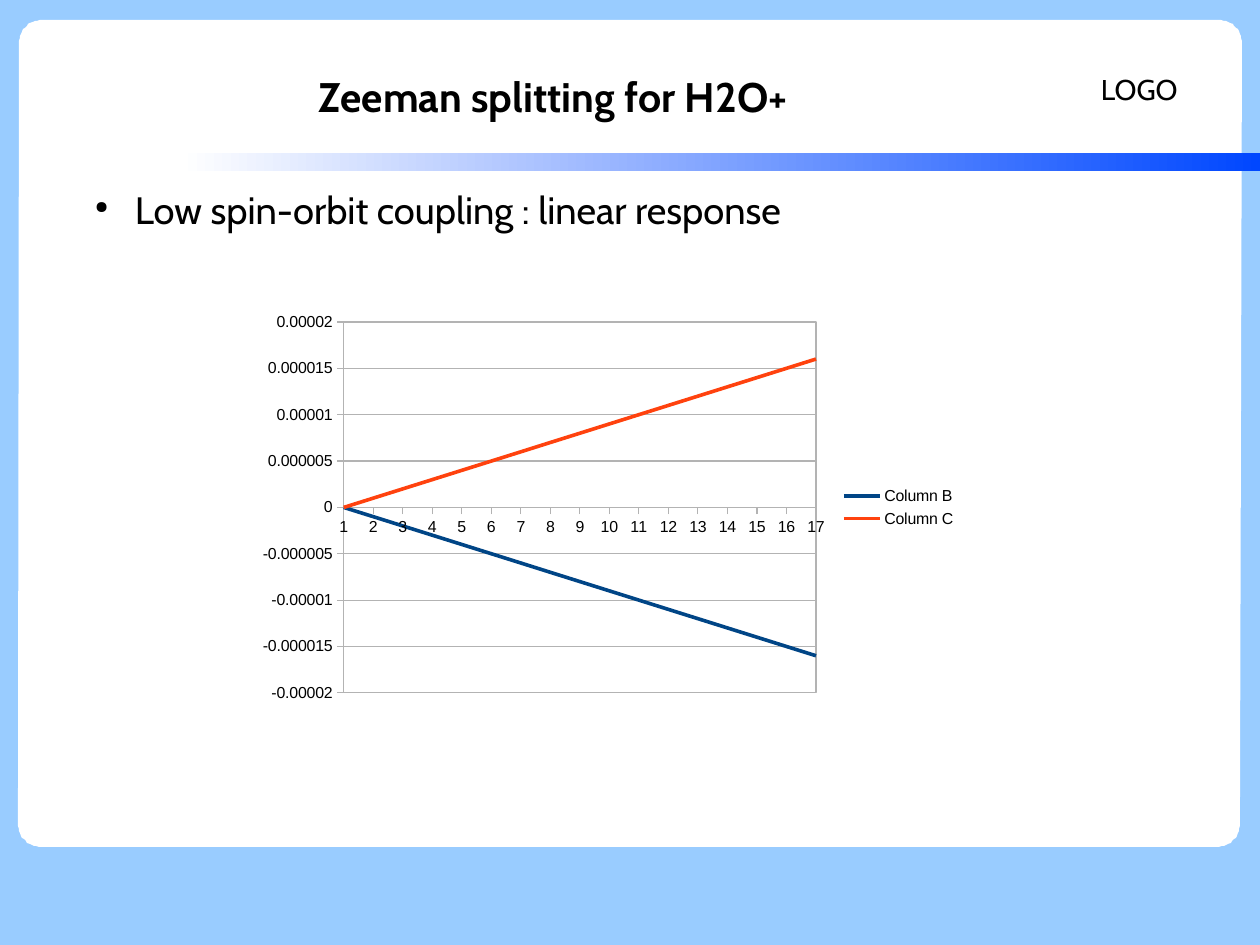
"""Build the slide on Zeeman splitting for H2O+."""
from dataclasses import dataclass
from math import cos, radians, sin

from lxml.etree import SubElement
from pptx import Presentation
from pptx.chart.chart import Chart
from pptx.chart.data import CategoryChartData
from pptx.dml.color import RGBColor
from pptx.enum.chart import XL_CHART_TYPE as ChartType
from pptx.enum.chart import XL_LEGEND_POSITION as LegendPosition
from pptx.enum.chart import XL_TICK_MARK as TickMark
from pptx.enum.shapes import MSO_SHAPE as Preset
from pptx.enum.text import MSO_ANCHOR as Anchor
from pptx.enum.text import MSO_AUTO_SIZE as AutoSize
from pptx.enum.text import PP_ALIGN as Align
from pptx.oxml import parse_xml
from pptx.oxml.ns import nsdecls, qn
from pptx.slide import Slide
from pptx.util import Pt

EMU_PER_PX = 8000
COLORS = {
    "background": "99CCFF",
    "card": "FFFFFF",
    "band": "0047FF",
    "text": "000000",
    "grid": "B3B3B3",
    "lower": "004586",
    "upper": "FF420E",
}


@dataclass(frozen=True)
class Box:
    left: int
    top: int
    width: int
    height: int

    def emu(self) -> tuple[int, int, int, int]:
        return px(self.left), px(self.top), px(self.width), px(self.height)


@dataclass(frozen=True)
class Label:
    text: str
    box: Box
    size: int
    anchor: Anchor
    align: Align = Align.LEFT
    bold: bool = False
    inset: tuple[int, int] = (0, 0)


@dataclass(frozen=True)
class Level:
    name: str
    color: str
    sign: int


@dataclass(frozen=True)
class Corner:
    x: int
    y: int
    start: int


SLIDE = Box(0, 0, 1260, 945)
BAND = Box(180, 153, 1080, 18)
CHART = Box(248, 305, 720, 405)
PLOT = Box(96, 17, 472, 371)
CORNER_RADIUS = 23
CORNERS = (
    Corner(42, 43, 180),
    Corner(1219, 43, 270),
    Corner(1217, 824, 0),
    Corner(41, 824, 90),
)
TITLE = Label("Zeeman splitting for H2O+", Box(63, 38, 981, 115), 26,
              Anchor.MIDDLE, Align.CENTER, bold=True)
LOGO = Label("LOGO", Box(1090, 35, 104, 108), 18, Anchor.MIDDLE, inset=(11, 6))
BODY = Label("Low spin-orbit coupling : linear response",
             Box(81, 186, 1134, 624), 24, Anchor.TOP)
LEVELS = (Level("Column B", "lower", -1), Level("Column C", "upper", 1))
POINT_COUNT = 17


def px(length: int) -> int:
    return length * EMU_PER_PX


def rgb(name: str) -> RGBColor:
    return RGBColor.from_string(COLORS[name])


def draw_card(slide: Slide) -> None:
    points = [
        (corner.x + CORNER_RADIUS * cos(radians(corner.start + step)),
         corner.y + CORNER_RADIUS * sin(radians(corner.start + step)))
        for corner in CORNERS
        for step in range(0, 91, 6)
    ]
    builder = slide.shapes.build_freeform(*points[0], scale=EMU_PER_PX)
    builder.add_line_segments(points[1:], close=True)
    card = builder.convert_to_shape()
    card.shadow.inherit = False
    card.fill.solid()
    card.fill.fore_color.rgb = rgb("card")
    card.line.fill.background()


def draw_band(slide: Slide) -> None:
    band = slide.shapes.add_shape(Preset.RECTANGLE, *BAND.emu())
    band.shadow.inherit = False
    band.line.fill.background()
    band.fill.gradient()
    band.fill.gradient_angle = 0
    for stop, name in zip(band.fill.gradient_stops, ("card", "band")):
        stop.color.rgb = rgb(name)


def write_label(shape, label: Label, bullet: bool = False) -> None:
    shape.left, shape.top, shape.width, shape.height = label.box.emu()
    frame = shape.text_frame
    frame.word_wrap = True
    frame.auto_size = AutoSize.NONE
    frame.vertical_anchor = label.anchor
    frame.margin_left = frame.margin_right = px(label.inset[0])
    frame.margin_top = frame.margin_bottom = px(label.inset[1])
    paragraph = frame.paragraphs[0]
    paragraph.alignment = label.align
    if bullet:
        add_bullet(paragraph)
    run = paragraph.add_run()
    run.text = label.text
    run.font.name = "Cabin"
    run.font.size = Pt(label.size)
    run.font.bold = label.bold
    run.font.color.rgb = rgb("text")


def add_bullet(paragraph) -> None:
    paragraph.space_after = Pt(14.1)
    properties = paragraph._p.get_or_add_pPr()
    properties.set("marL", str(px(54)))
    properties.set("indent", str(px(-40)))
    color = SubElement(properties, qn("a:buClr"))
    SubElement(color, qn("a:srgbClr"), val=COLORS["text"])
    SubElement(properties, qn("a:buSzPct"), val="45000")
    SubElement(properties, qn("a:buChar"), char="●")


def draw_chart(slide: Slide) -> None:
    data = CategoryChartData(number_format="General")
    data.categories = [str(number) for number in range(1, POINT_COUNT + 1)]
    for level in LEVELS:
        data.add_series(level.name, [round(level.sign * step * 1e-6, 6)
                                     for step in range(POINT_COUNT)])
    chart = slide.shapes.add_chart(ChartType.LINE, *CHART.emu(), data).chart
    chart.has_title = False
    chart.font.name = "Arial"
    chart.font.size = Pt(10)
    chart.font.color.rgb = rgb("text")
    chart.has_legend = True
    chart.legend.position = LegendPosition.RIGHT
    chart.legend.include_in_layout = False
    chart.plots[0].vary_by_categories = False
    for series, level in zip(chart.plots[0].series, LEVELS):
        series.smooth = False
        series.format.line.color.rgb = rgb(level.color)
        series.format.line.width = Pt(2.27)
    format_axes(chart)
    format_plot_area(chart)


def format_axes(chart: Chart) -> None:
    value_axis = chart.value_axis
    value_axis.has_major_gridlines = True
    value_axis.minimum_scale, value_axis.maximum_scale = -2e-5, 2e-5
    for axis in (chart.category_axis, value_axis):
        axis.major_tick_mark = TickMark.OUTSIDE
        axis.minor_tick_mark = TickMark.NONE
    for part in (chart.category_axis, value_axis, value_axis.major_gridlines):
        part.format.line.color.rgb = rgb("grid")
        part.format.line.width = Pt(0.75)
    element = value_axis._element
    for crossing in element.findall(qn("c:crossBetween")):
        element.remove(crossing)
    element.find(qn("c:crosses")).addnext(
        parse_xml(f'<c:crossBetween {nsdecls("c")} val="midCat"/>'))
    value_axis.major_unit = 5e-6


def format_plot_area(chart: Chart) -> None:
    area = chart._chartSpace.chart.plotArea
    for layout in area.findall(qn("c:layout")):
        area.remove(layout)
    fractions = {"x": PLOT.left / CHART.width, "y": PLOT.top / CHART.height,
                 "w": PLOT.width / CHART.width, "h": PLOT.height / CHART.height}
    modes = '<c:layoutTarget val="inner"/><c:xMode val="edge"/><c:yMode val="edge"/>'
    sizes = "".join(f'<c:{key} val="{part:.3f}"/>' for key, part in fractions.items())
    area.insert(0, parse_xml(f'<c:layout {nsdecls("c")}><c:manualLayout>{modes}{sizes}'
                             '</c:manualLayout></c:layout>'))
    area.append(parse_xml(
        f'<c:spPr {nsdecls("c", "a")}><a:noFill/><a:ln w="9525"><a:solidFill>'
        f'<a:srgbClr val="{COLORS["grid"]}"/></a:solidFill></a:ln></c:spPr>'))


def main() -> None:
    presentation = Presentation()
    presentation.slide_width, presentation.slide_height = SLIDE.emu()[2:]
    slide = presentation.slides.add_slide(presentation.slide_layouts[5])
    slide.background.fill.solid()
    slide.background.fill.fore_color.rgb = rgb("background")
    draw_card(slide)
    draw_band(slide)
    title = slide.shapes.title
    slide.shapes._spTree.append(title._element)
    write_label(title, TITLE)
    write_label(slide.shapes.add_textbox(*LOGO.box.emu()), LOGO)
    write_label(slide.shapes.add_textbox(*BODY.box.emu()), BODY, bullet=True)
    draw_chart(slide)
    presentation.save("out.pptx")


if __name__ == "__main__":
    main()
